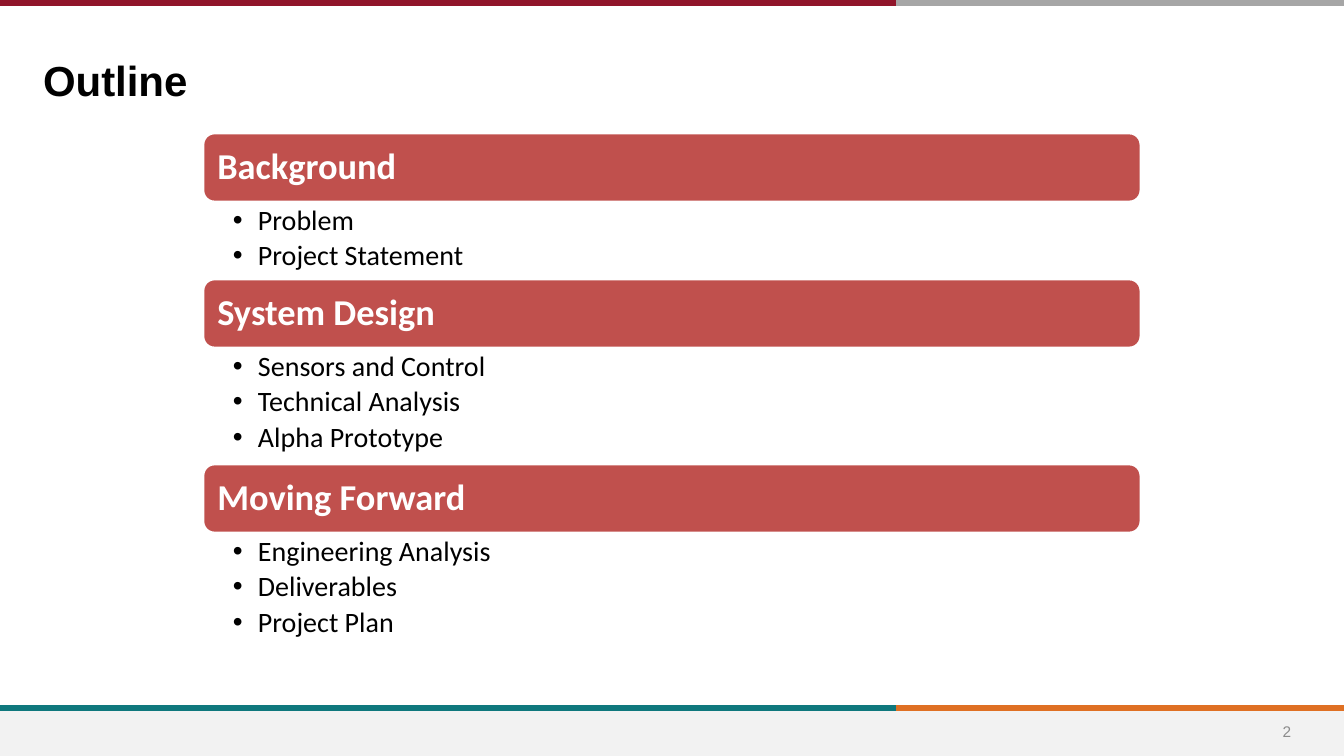
from lxml.etree import SubElement
from pptx import Presentation
from pptx.dml.color import RGBColor
from pptx.enum.shapes import MSO_CONNECTOR, MSO_SHAPE
from pptx.enum.text import MSO_ANCHOR, PP_ALIGN
from pptx.oxml.ns import qn
from pptx.util import Emu, Pt

WIDE, HIGH, SPLIT = 1344, 756, 896
HEAD, ROW = 69, 39
TOPICS = [
    ("Background", ["Problem", "Project Statement"]),
    ("System Design", ["Sensors and Control", "Technical Analysis", "Alpha Prototype"]),
    ("Moving Forward", ["Engineering Analysis", "Deliverables", "Project Plan"]),
]


def px(count):
    return Emu(round(count * 914400 / 100.8))


def color(code):
    return RGBColor.from_string(code)


def style(para, face, size, code, bold=False):
    font = para.font
    font.name, font.size, font.bold = face, Pt(size), bold
    font.color.rgb = color(code)


def inset(frame, left, top, right, bottom):
    frame.word_wrap = True
    frame.margin_left, frame.margin_top = px(left), px(top)
    frame.margin_right, frame.margin_bottom = px(right), px(bottom)


def add_text(slide, box, pads):
    frame = slide.shapes.add_textbox(*map(px, box)).text_frame
    inset(frame, *pads)
    return frame


def add_block(slide, box, kind, fill):
    block = slide.shapes.add_shape(kind, *map(px, box))
    block.shadow.inherit = False
    block.fill.solid()
    block.fill.fore_color.rgb = color(fill)
    block.line.fill.background()
    return block


def add_rule(slide, start, end, y, code):
    rule = slide.shapes.add_connector(
        MSO_CONNECTOR.STRAIGHT, px(start), px(y), px(end), px(y))
    rule.line.color.rgb = color(code)
    rule.line.width = Pt(4)
    SubElement(rule._element.spPr, qn("a:effectLst"))


def add_band(slide, y, left, right):
    add_rule(slide, SPLIT, WIDE, y, right)
    add_rule(slide, 0, SPLIT, y, left)


def add_foot(slide, box, number):
    x, y, width, height = box
    add_block(slide, box, MSO_SHAPE.RECTANGLE, "F2F2F2")
    add_band(slide, y - 3, "0F787D", "DF7023")
    frame = add_text(slide, (x + width - 92, y, 70, 40), (10, 5, 10, 5))
    frame.vertical_anchor = MSO_ANCHOR.MIDDLE
    para = frame.paragraphs[0]
    para.text, para.alignment = number, PP_ALIGN.CENTER
    style(para, "Arial", 11, "8C8C8C")


def add_title(slide, box, words):
    para = add_text(slide, box, (10, 9, 10, 0)).paragraphs[0]
    para.text = words
    style(para, "Arial", 30, "000000", True)


def add_head(slide, box, words):
    head = add_block(slide, box, MSO_SHAPE.ROUNDED_RECTANGLE, "C0504D")
    head.line.color.rgb = color("FFFFFF")
    head.line.width = Pt(2)
    frame = head.text_frame
    inset(frame, 11, 11, 11, 11)
    frame.vertical_anchor = MSO_ANCHOR.MIDDLE
    para = frame.paragraphs[0]
    para.text, para.alignment, para.line_spacing = words, PP_ALIGN.LEFT, 0.9
    style(para, "Calibri", 26, "FFFFFF", True)


def add_list(slide, box, items):
    frame = add_text(slide, box, (30, 4, 20, 4))
    for place, item in enumerate(items):
        para = frame.add_paragraph() if place else frame.paragraphs[0]
        para.text, para.level = item, 1
        para.line_spacing, para.space_after = 0.9, Pt(3.75)
        props = para._p.get_or_add_pPr()
        props.set("marL", str(px(25)))
        props.set("indent", str(px(-25)))
        SubElement(props, qn("a:buFont"), typeface="Arial")
        SubElement(props, qn("a:buChar"), char="•")
        style(para, "Calibri", 20, "000000")


def add_topics(slide, box, topics):
    x, y, width, _ = box
    for words, items in topics:
        add_head(slide, (x, y, width, HEAD), words)
        y += HEAD
        depth = len(items) * ROW - 1
        add_list(slide, (x, y, width, depth), items)
        y += depth


def main():
    deck = Presentation()
    deck.slide_width, deck.slide_height = px(WIDE), px(HIGH)
    slide = deck.slides.add_slide(deck.slide_layouts[6])
    add_foot(slide, (0, 711, WIDE, 45), "2")
    add_band(slide, 3, "90152A", "A6A6A6")
    add_title(slide, (33, 46, 1074, 59), "Outline")
    add_topics(slide, (203, 133, 938, 516), TOPICS)
    deck.save("out.pptx")


if __name__ == "__main__":
    main()
